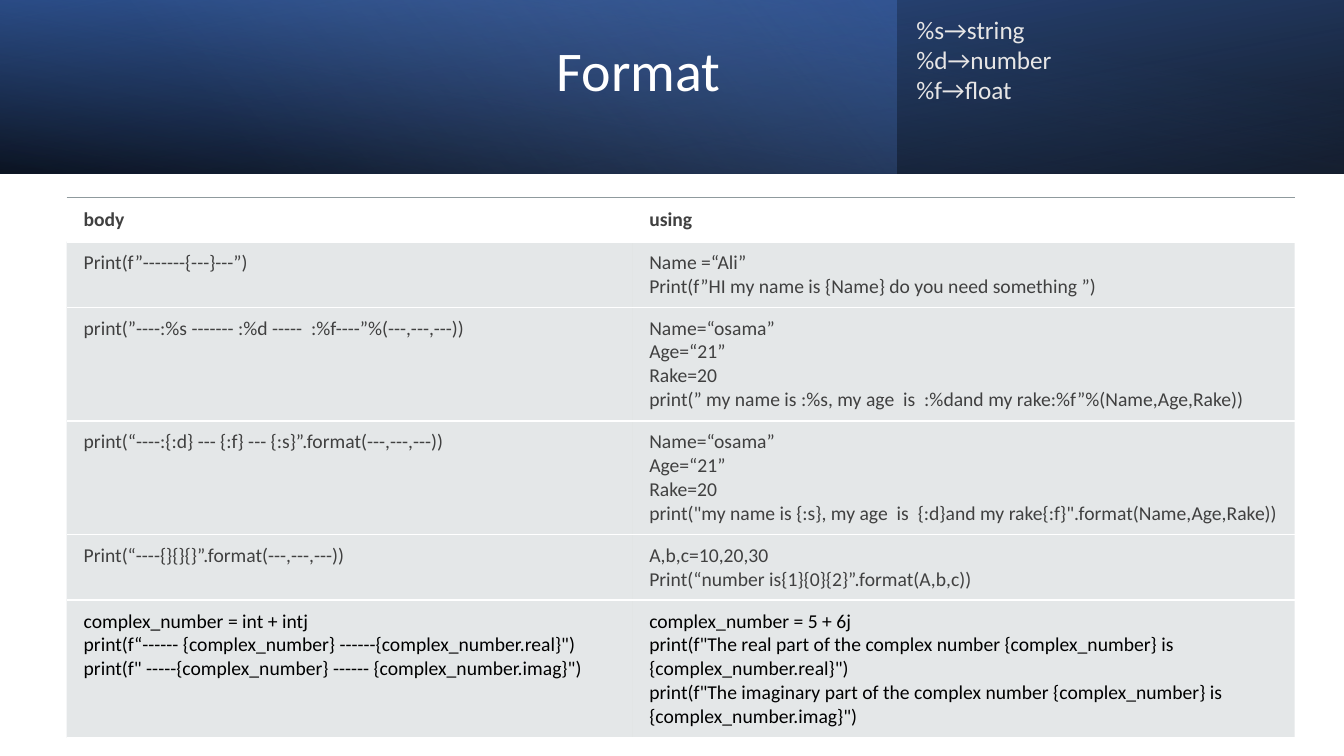
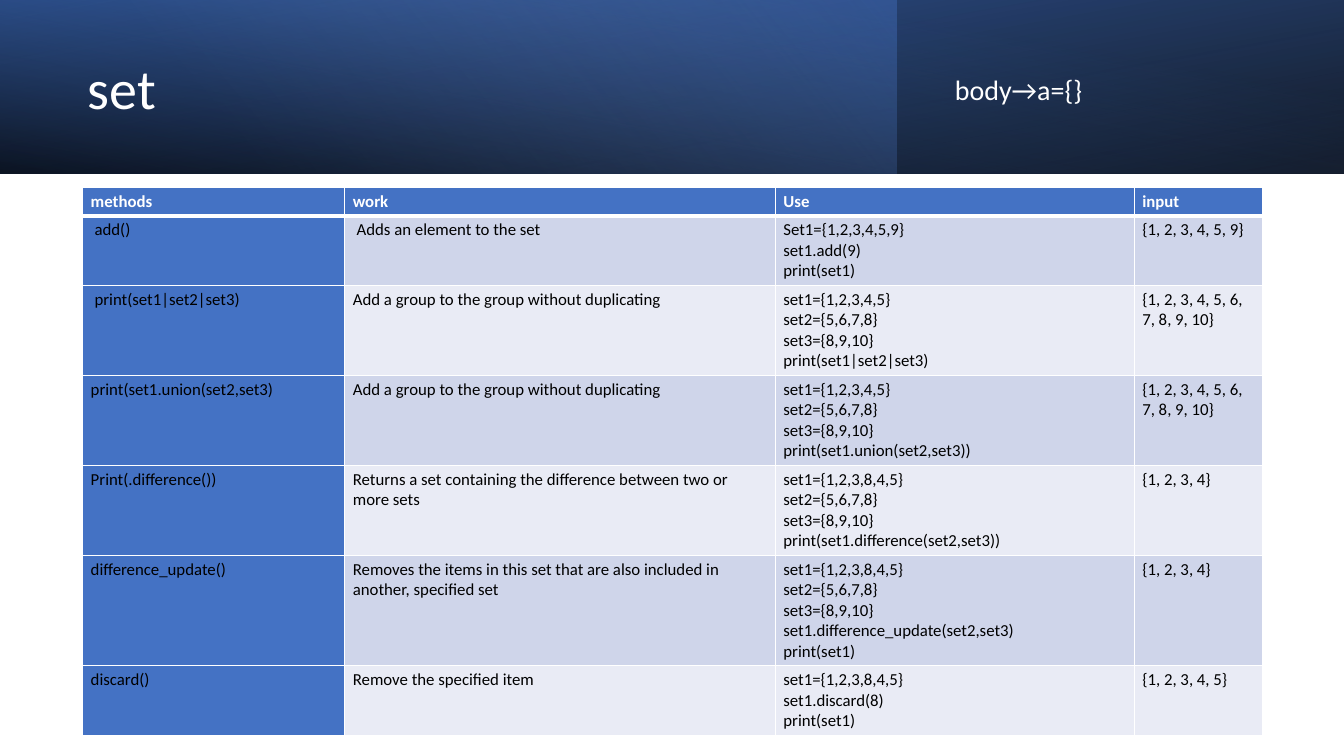
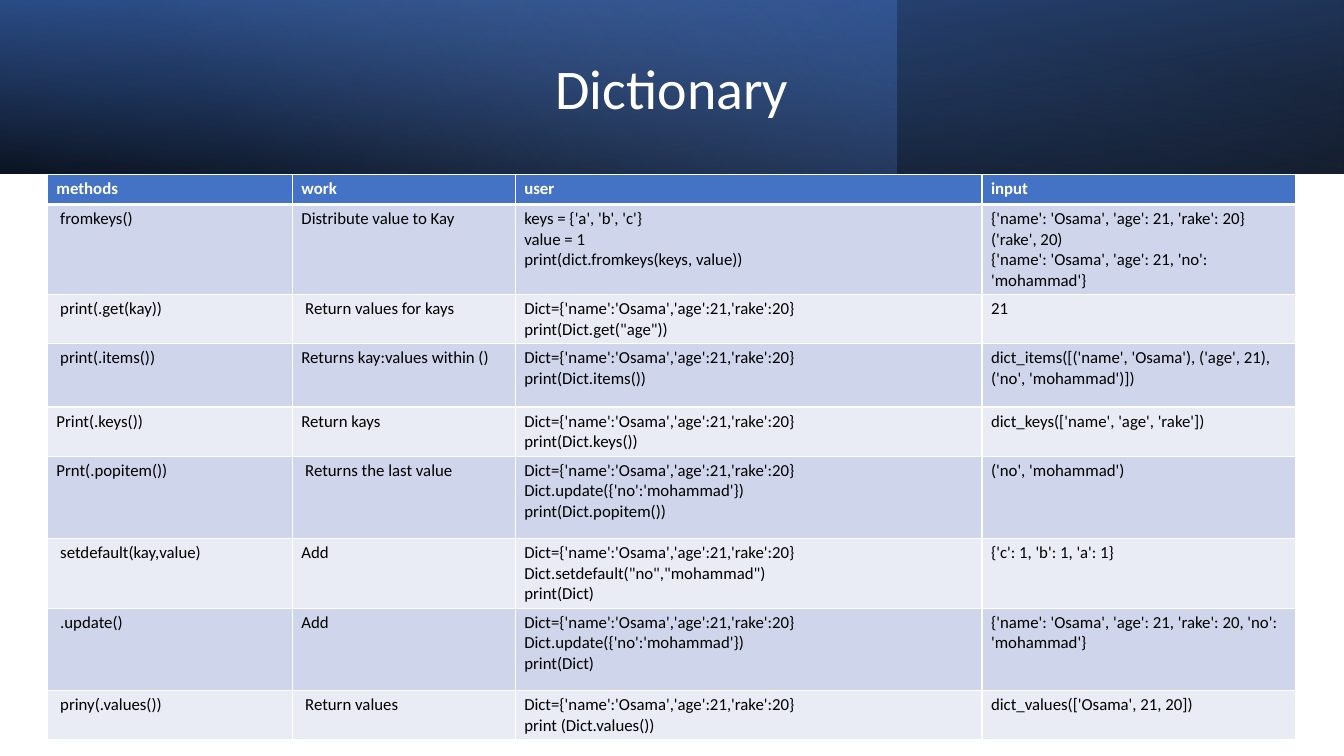
import dataclasses

import lxml.etree
import pptx
import pptx.dml.color
import pptx.enum.shapes
import pptx.enum.text
import pptx.oxml
import pptx.oxml.ns
import pptx.util

Inches = pptx.util.Inches
Pt = pptx.util.Pt
qn = pptx.oxml.ns.qn
ALIGN = pptx.enum.text.PP_ALIGN
ANCHOR = pptx.enum.text.MSO_ANCHOR


@dataclasses.dataclass(frozen=True)
class Theme:
    font: str = "Calibri"
    white: str = "FFFFFF"
    black: str = "000000"
    navy: str = "2F5597"
    blue: str = "4472C4"
    sky: str = "8FAADC"
    pale: str = "E7E6E6"
    ink: str = "404040"
    rule: str = "8F9A9D"
    gray: str = "B4BCBE"
    band_odd: str = "CFD5EA"
    band_even: str = "E9EBF5"
    title: int = 40
    side: int = 20
    hint: int = 18
    plain_table: int = 14
    grid_table: int = 12


T = Theme()
SLIDE_W, SLIDE_H, BANNER_H = 13.33, 7.5, 1.72


def rgb(color):
    return pptx.dml.color.RGBColor.from_string(color)


def add_color(parent, color, opacity=100):
    clr = lxml.etree.SubElement(parent, qn("a:srgbClr"), val=color)
    if opacity < 100:
        lxml.etree.SubElement(clr, qn("a:alpha"), val=str(opacity * 1000))


def style_text(tf, size, color, bold=False, align=ALIGN.LEFT):
    for p in tf.paragraphs:
        p.alignment = align
        for r in p.runs:
            r.font.name = T.font
            r.font.size = Pt(size)
            r.font.bold = bold
            r.font.color.rgb = rgb(color)


# Banner

def gradient_band(slide, order, width, stops, angle, flip=False, rotation=0):
    """Add a borderless band behind the placeholders; stops are (position, color, opacity)."""
    sp = slide.shapes.add_shape(pptx.enum.shapes.MSO_SHAPE.RECTANGLE, 0, 0,
                                Inches(width), Inches(BANNER_H))
    sp.shadow.inherit = False
    sp.line.fill.background()
    sp.rotation = rotation
    sp.fill.gradient()
    grad = sp._element.spPr.find(qn("a:gradFill"))
    for child in list(grad):
        grad.remove(child)
    stop_list = lxml.etree.SubElement(grad, qn("a:gsLst"))
    for position, color, opacity in stops:
        stop = lxml.etree.SubElement(stop_list, qn("a:gs"), pos=str(position * 1000))
        add_color(stop, color, opacity)
    lxml.etree.SubElement(grad, qn("a:lin"), ang=str(angle * 60000), scaled="0")
    if flip:
        sp._element.spPr.find(qn("a:xfrm")).set("flipH", "1")
    slide.shapes._spTree.insert(2 + order, sp._element)


def add_banner(slide):
    gradient_band(slide, 0, SLIDE_W, [(0, T.black, 96), (100, T.navy, 100)], 100, True, 180)
    gradient_band(slide, 1, 8.89, [(0, T.blue, 41), (74, T.sky, 0)], 140)
    gradient_band(slide, 2, SLIDE_W, [(0, T.black, 63), (78, T.blue, 15)], 260, True)


def fill_placeholder(sp, box, text, size, align=ALIGN.LEFT, anchor=ANCHOR.MIDDLE):
    sp.left, sp.top, sp.width, sp.height = map(Inches, box)
    tf = sp.text_frame
    tf.text = text
    tf.auto_size = pptx.enum.text.MSO_AUTO_SIZE.NONE
    tf.vertical_anchor = anchor
    style_text(tf, size, T.white, align=align)
    p = tf.paragraphs[0]
    p.line_spacing = 0.9
    return tf, p


def add_title(slide, box, text, align=ALIGN.LEFT, anchor=ANCHOR.MIDDLE):
    tf, p = fill_placeholder(slide.shapes.title, box, text, T.title, align, anchor)
    p.space_after = Pt(6)
    if anchor == ANCHOR.TOP:
        tf.margin_top = 0


def add_side_note(slide, box, text):
    tf, p = fill_placeholder(slide.placeholders[1], box, text, T.side)
    p.space_before = Pt(10)
    ppr = p._p.get_or_add_pPr()
    ppr.set("marL", "0")
    ppr.set("indent", "0")
    lxml.etree.SubElement(ppr, qn("a:buNone"))


def add_hint(slide, box, text):
    sp = slide.shapes.add_textbox(*map(Inches, box))
    tf = sp.text_frame
    tf.word_wrap = True
    tf.text = text
    style_text(tf, T.hint, T.pale)


# Tables

def set_borders(cell, **sides):
    """Set borders L, R, T and B, each (color, points, opacity), or None for no line."""
    tcpr = cell._tc.get_or_add_tcPr()
    for i, side in enumerate("LRTB"):
        ln = lxml.etree.Element(qn("a:ln" + side))
        if sides[side] is None:
            lxml.etree.SubElement(ln, qn("a:noFill"))
        else:
            color, points, opacity = sides[side]
            ln.set("w", str(Pt(points)))
            add_color(lxml.etree.SubElement(ln, qn("a:solidFill")), color, opacity)
        tcpr.insert(i, ln)


def fill_cell(cell, color, opacity=100):
    cell.fill.solid()
    cell.fill.fore_color.rgb = rgb(color)
    if opacity < 100:
        clr = cell._tc.tcPr.find(qn("a:solidFill"))[0]
        lxml.etree.SubElement(clr, qn("a:alpha"), val=str(opacity * 1000))


def add_table(slide, left, top, widths, heights, rows, style_cell):
    frame = slide.shapes.add_table(len(rows), len(widths), Inches(left), Inches(top),
                                   Inches(sum(widths)), Inches(sum(heights)))
    table = frame.table
    table.first_row = table.horz_banding = False
    for column, width in zip(table.columns, widths):
        column.width = Inches(width)
    for i, (row, height) in enumerate(zip(rows, heights)):
        table.rows[i].height = Inches(height)
        for j, text in enumerate(row):
            cell = table.cell(i, j)
            cell.text = text
            style_cell(cell, i, j)


def set_margins(cell, left, right, vertical):
    cell.margin_left, cell.margin_right = Inches(left), Inches(right)
    cell.margin_top = cell.margin_bottom = Inches(vertical)


def plain_style(last_row):
    """Gray rows under a ruled heading; the last row is black."""
    def style_cell(cell, i, j):
        head = i == 0
        pad = 0.1 if head else 0.09
        set_margins(cell, 0.17, pad, pad)
        style_text(cell.text_frame, T.plain_table, T.black if i == last_row else T.ink, head)
        if head:
            cell.fill.background()
        else:
            fill_cell(cell, T.gray, 35)
        white = (T.white, 1.5, 100)
        set_borders(cell, L=None, R=None, T=(T.rule, 1.5, 60) if head else white, B=white)
    return style_cell


def grid_style(pad, blue_first_column=False):
    """Blue heading over banded rows with white grid lines."""
    def style_cell(cell, i, j):
        head = i == 0
        set_margins(cell, pad, pad, 0.04)
        style_text(cell.text_frame, T.grid_table, T.white if head else T.black, head)
        if head or (blue_first_column and j == 0):
            fill_cell(cell, T.blue)
        else:
            fill_cell(cell, T.band_odd if i % 2 else T.band_even)
        thin, thick = (T.white, 1, 100), (T.white, 3, 100)
        set_borders(cell, L=thin, R=thin, T=thick if i == 1 else thin, B=thick if head else thin)
    return style_cell


FORMAT_ROWS = [
    ("body", "using"),
    ("Print(f”-------{---}---”)",
     "Name =“Ali”\nPrint(f”HI my name is {Name} do you need something ”)"),
    ("print(”----:%s ------- :%d -----  :%f----”%(---,---,---))",
     "Name=“osama”\nAge=“21”\nRake=20\n"
     "print(” my name is :%s, my age  is  :%dand my rake:%f”%(Name,Age,Rake))"),
    ("print(“----:{:d} --- {:f} --- {:s}”.format(---,---,---))",
     "Name=“osama”\nAge=“21”\nRake=20\n"
     'print("my name is {:s}, my age  is  {:d}and my rake{:f}".format(Name,Age,Rake))'),
    ("Print(“----{}{}{}”.format(---,---,---))",
     "A,b,c=10,20,30\nPrint(“number is{1}{0}{2}”.format(A,b,c))"),
    ("complex_number = int + intj\n"
     'print(f“------ {complex_number} ------{complex_number.real}")\n'
     'print(f" -----{complex_number} ------ {complex_number.imag}")',
     "complex_number = 5 + 6j\n"
     'print(f"The real part of the complex number {complex_number} is {complex_number.real}")\n'
     'print(f"The imaginary part of the complex number {complex_number} is '
     '{complex_number.imag}")'),
]

THREE_SETS = "set1={1,2,3,4,5}\nset2={5,6,7,8}\nset3={8,9,10}\n"
OVERLAPPING_SETS = THREE_SETS.replace("3,4,5}", "3,8,4,5}")
MERGE = "Add a group to the group without duplicating"
MERGED = "{1, 2, 3, 4, 5, 6, 7, 8, 9, 10}"
SET_ROWS = [
    ("methods", "work", "Use", "input"),
    (" add()", " Adds an element to the set",
     "Set1={1,2,3,4,5,9}\nset1.add(9)\nprint(set1)", "{1, 2, 3, 4, 5, 9}"),
    (" print(set1|set2|set3)", MERGE, THREE_SETS + "print(set1|set2|set3)", MERGED),
    ("print(set1.union(set2,set3)", MERGE, THREE_SETS + "print(set1.union(set2,set3))", MERGED),
    ("Print(.difference())", "Returns a set containing the difference between two or more sets",
     OVERLAPPING_SETS + "print(set1.difference(set2,set3))", "{1, 2, 3, 4}"),
    ("difference_update()",
     "Removes the items in this set that are also included in another, specified set",
     OVERLAPPING_SETS + "set1.difference_update(set2,set3)\nprint(set1)", "{1, 2, 3, 4}"),
    ("discard()", "Remove the specified item",
     "set1={1,2,3,8,4,5}\nset1.discard(8)\nprint(set1)", "{1, 2, 3, 4, 5}"),
]

PERSON = "Dict={'name':'Osama','age':21,'rake':20}\n"
UPDATE = PERSON + "Dict.update({'no':'mohammad'})\n"
DICT_ROWS = [
    ("methods", "work", "user", "input"),
    (" fromkeys()", "Distribute value to Kay",
     "keys = {'a', 'b', 'c'}\nvalue = 1\nprint(dict.fromkeys(keys, value))",
     "{'name': 'Osama', 'age': 21, 'rake': 20}\n('rake', 20)\n"
     "{'name': 'Osama', 'age': 21, 'no': 'mohammad'}"),
    (" print(.get(kay))", " Return values for kays", PERSON + 'print(Dict.get("age"))', "21"),
    (" print(.items())", "Returns kay:values within ()", PERSON + "print(Dict.items())",
     "dict_items([('name', 'Osama'), ('age', 21), ('no', 'mohammad')])"),
    ("Print(.keys())", "Return kays", PERSON + "print(Dict.keys())",
     "dict_keys(['name', 'age', 'rake'])"),
    ("Prnt(.popitem())", " Returns the last value", UPDATE + "print(Dict.popitem())",
     "('no', 'mohammad')"),
    (" setdefault(kay,value)", "Add",
     PERSON + 'Dict.setdefault("no","mohammad")\nprint(Dict)', "{'c': 1, 'b': 1, 'a': 1}"),
    (" .update()", "Add", UPDATE + "print(Dict)",
     "{'name': 'Osama', 'age': 21, 'rake': 20, 'no': 'mohammad'}"),
    (" priny(.values())", " Return values", PERSON + "print (Dict.values())",
     "dict_values(['Osama', 21, 20])"),
]


# Slides

def new_slide(prs, layout_name):
    slide = prs.slides.add_slide(prs.slide_layouts.get_by_name(layout_name))
    add_banner(slide)
    return slide


def format_slide(prs):
    slide = new_slide(prs, "Title Only")
    add_title(slide, (5.42, 0.43, 2.24, 1.29), "Format", anchor=ANCHOR.TOP)
    add_table(slide, 0.66, 1.96, [5.61, 6.57], [0.35, 0.59, 0.87, 0.87, 0.56, 0.82],
              FORMAT_ROWS, plain_style(len(FORMAT_ROWS) - 1))
    add_hint(slide, (8.99, 0.09, 1.77, 1.01), "%s→string\n%d→number\n%f→float")


def set_slide(prs):
    slide = new_slide(prs, "Title and Content")
    add_title(slide, (0.77, 0.27, 7.72, 1.27), "set")
    add_side_note(slide, (9.37, 0.43, 3.54, 0.96), "body→a={}")
    add_table(slide, 0.82, 1.86, [2.6, 4.27, 3.56, 1.27],
              [0.28, 0.62, 0.79, 0.79, 0.79, 0.96, 0.62], SET_ROWS, grid_style(0.08, True))


def dictionary_slide(prs):
    slide = new_slide(prs, "Title Only")
    add_title(slide, (0, 0.27, SLIDE_W, 1.27), "Dictionary", ALIGN.CENTER)
    add_table(slide, 0.47, 1.73, [2.43, 2.21, 4.63, 3.11],
              [0.3, 0.82, 0.45, 0.63, 0.45, 0.82, 0.63, 0.82, 0.45], DICT_ROWS, grid_style(0.09))


def main():
    prs = pptx.Presentation()
    prs.slide_width, prs.slide_height = Inches(SLIDE_W), Inches(SLIDE_H)
    format_slide(prs)
    set_slide(prs)
    dictionary_slide(prs)
    prs.save("out.pptx")


if __name__ == "__main__":
    main()
